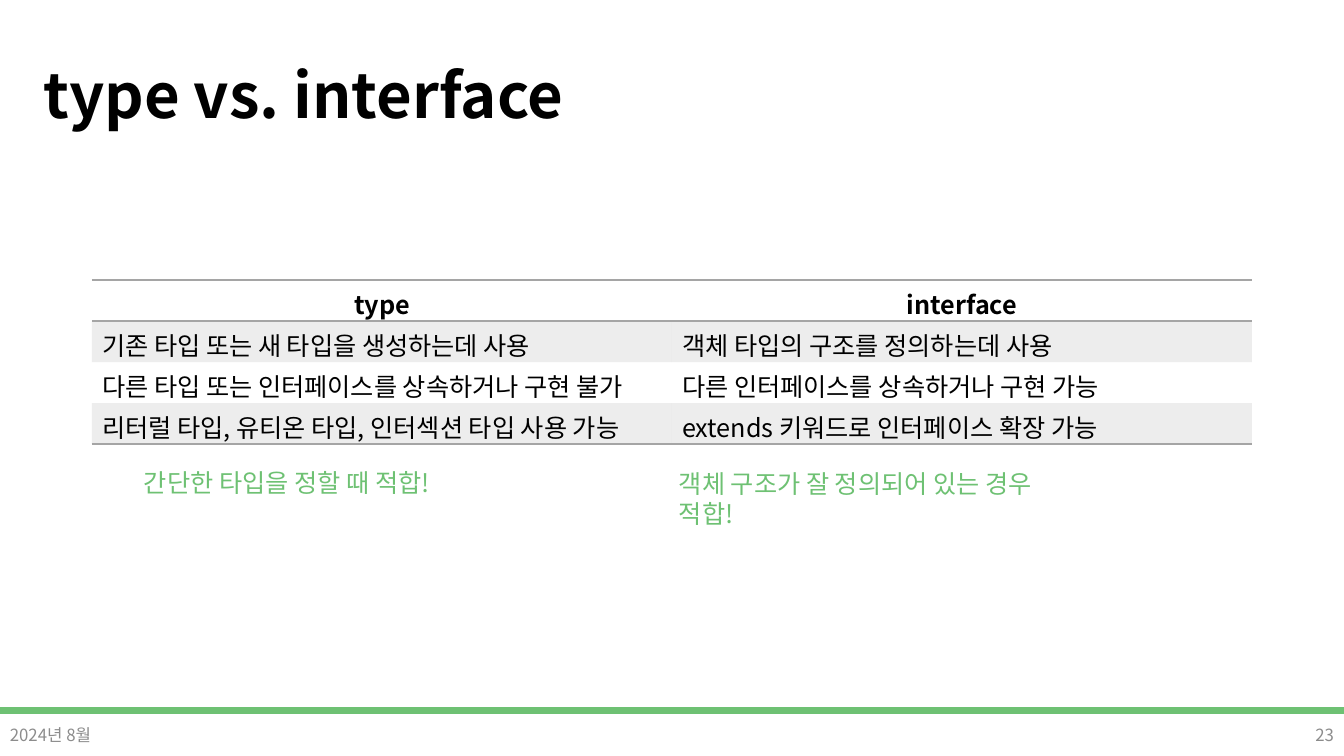
from pptx import Presentation
from pptx.dml.color import RGBColor
from pptx.enum.shapes import MSO_SHAPE as Shape
from pptx.enum.text import MSO_ANCHOR as Anchor, MSO_AUTO_SIZE as AutoSize, PP_ALIGN as Align
from pptx.oxml.ns import qn
from pptx.util import Pt
from lxml.etree import SubElement

SCALE = 914400 / 100.8
FONT = "Noto Sans CJK KR"
GREEN, GREY, MUTED, BLACK = "6EC173", "A5A5A5", "8C8C8C", "000000"
NO_STYLE = "{2D5ABB26-0587-4C30-8999-92F81FD0307C}"
COMPARISON = [
    ("type", "interface"),
    ("기존 타입 또는 새 타입을 생성하는데 사용", "객체 타입의 구조를 정의하는데 사용"),
    ("다른 타입 또는 인터페이스를 상속하거나 구현 불가", "다른 인터페이스를 상속하거나 구현 가능"),
    ("리터럴 타입, 유티온 타입, 인터섹션 타입 사용 가능", "extends 키워드로 인터페이스 확장 가능"),
]


def px(*lengths):
    return [round(length * SCALE) for length in lengths]


def color(value):
    return RGBColor.from_string(value)


def write(frame, text, size, ink, bold=False, align=Align.LEFT):
    paragraph = frame.paragraphs[0]
    paragraph.alignment = align
    run = paragraph.add_run()
    run.text = text
    font = run.font
    font.size, font.bold, font.name = Pt(size), bold, FONT
    font.color.rgb = color(ink)
    SubElement(font._element, qn("a:ea"), typeface=FONT)
    return paragraph


def add_title(slide, text, box):
    title = slide.shapes.title
    title.left, title.top, title.width, title.height = px(*box)
    title.text_frame.vertical_anchor = Anchor.MIDDLE
    write(title.text_frame, text, 44, BLACK, bold=True).line_spacing = 0.9


def add_border(cell, side):
    line = SubElement(cell._tc.get_or_add_tcPr(), qn(f"a:{side}"), w=str(Pt(1)))
    SubElement(SubElement(line, qn("a:solidFill")), qn("a:srgbClr"), val=GREY)


def shade(cell):
    """Fill the cell with grey at 20 % opacity."""
    cell.fill.solid()
    cell.fill.fore_color.rgb = color(GREY)
    tint = cell._tc.tcPr.find(qn("a:solidFill")).find(qn("a:srgbClr"))
    SubElement(tint, qn("a:alpha"), val="20000")


def add_comparison(slide, rows, box):
    frame = slide.shapes.add_table(len(rows), len(rows[0]), *px(*box))
    table = frame.table
    table.first_row = True
    table.horz_banding = False
    table._tbl.tblPr.find(qn("a:tableStyleId")).text = NO_STYLE
    last = len(rows) - 1
    for r, row in enumerate(rows):
        for c, text in enumerate(row):
            cell = table.cell(r, c)
            header = r == 0
            write(cell.text_frame, text, 18, BLACK, header,
                  Align.CENTER if header else Align.LEFT)
            if header:
                add_border(cell, "lnT")
            if r in (0, last):
                add_border(cell, "lnB")
            if r % 2:
                shade(cell)
            else:
                cell.fill.background()


def add_verdict(slide, text, box):
    frame = slide.shapes.add_textbox(*px(*box)).text_frame
    frame.word_wrap = False
    frame.auto_size = AutoSize.SHAPE_TO_FIT_TEXT
    write(frame, text, 18, GREEN)


def add_footer(slide, date, number, box):
    left, top, width, height = box
    bar = slide.shapes.add_shape(Shape.RECTANGLE, *px(left, top, width, 5))
    bar.shadow.inherit = False
    bar.fill.solid()
    bar.fill.fore_color.rgb = bar.line.color.rgb = color(GREEN)
    bar.line.width = Pt(1)
    label_width = 302
    for text, x, align in ((date, left, Align.LEFT),
                           (number, left + width - label_width, Align.RIGHT)):
        label = slide.shapes.add_textbox(*px(x, top + 7, label_width, height - 7))
        label.text_frame.word_wrap = True
        label.text_frame.vertical_anchor = Anchor.MIDDLE
        write(label.text_frame, text, 12, MUTED, align=align)


def main():
    deck = Presentation()
    deck.slide_width, deck.slide_height = px(1344, 756)
    slide = deck.slides.add_slide(deck.slide_layouts[5])
    add_footer(slide, "2024년 8월", "23", (0, 708, 1344, 47))
    add_title(slide, "type vs. interface", (33, 26, 1159, 146))
    add_comparison(slide, COMPARISON, (92, 280, 1160, 164))
    add_verdict(slide, "간단한 타입을 정할 때 적합!", (134, 462, 307, 40))
    add_verdict(slide, "객체 구조가 잘 정의되어 있는 경우 적합!", (669, 463, 424, 40))
    deck.save("out.pptx")


if __name__ == "__main__":
    main()
